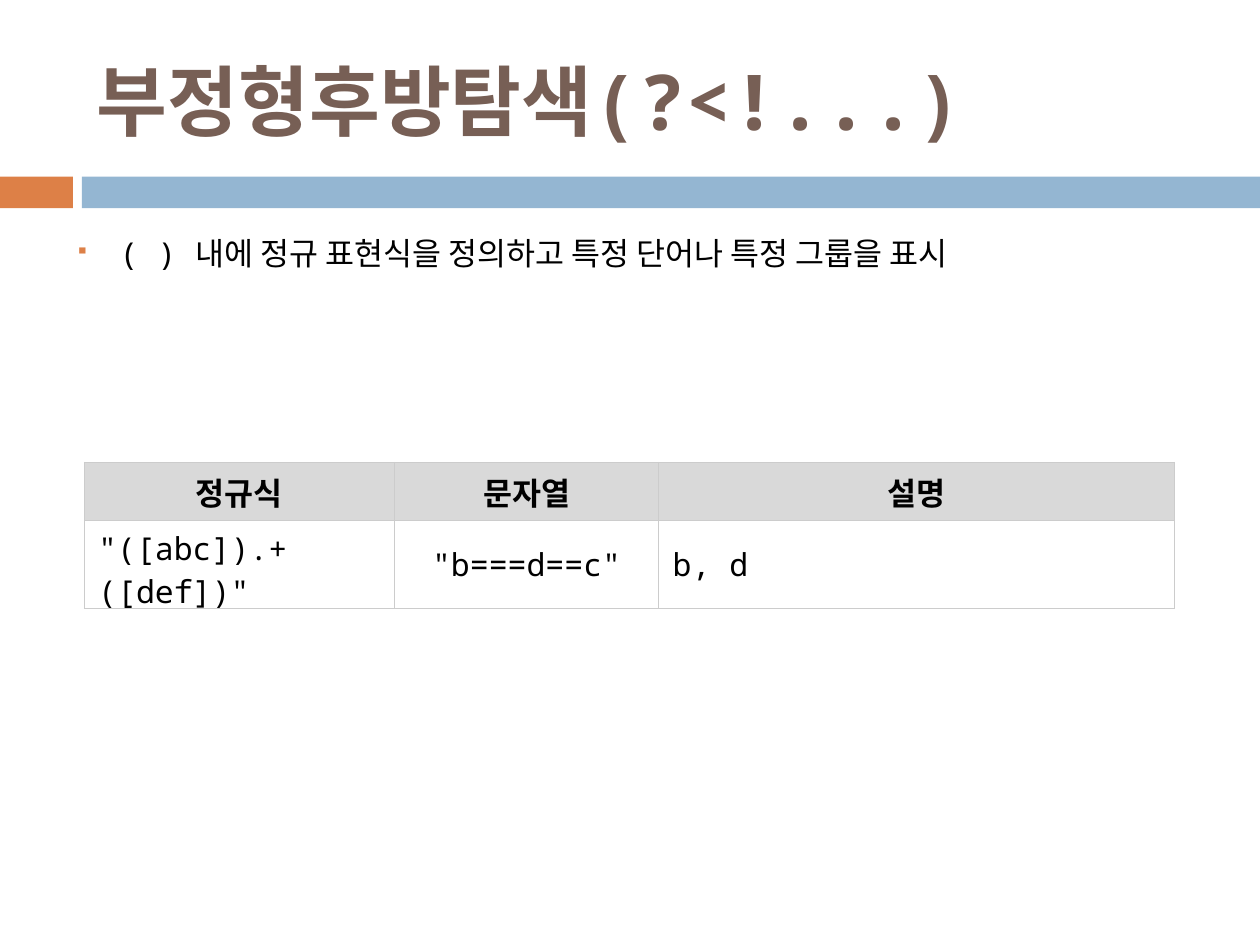
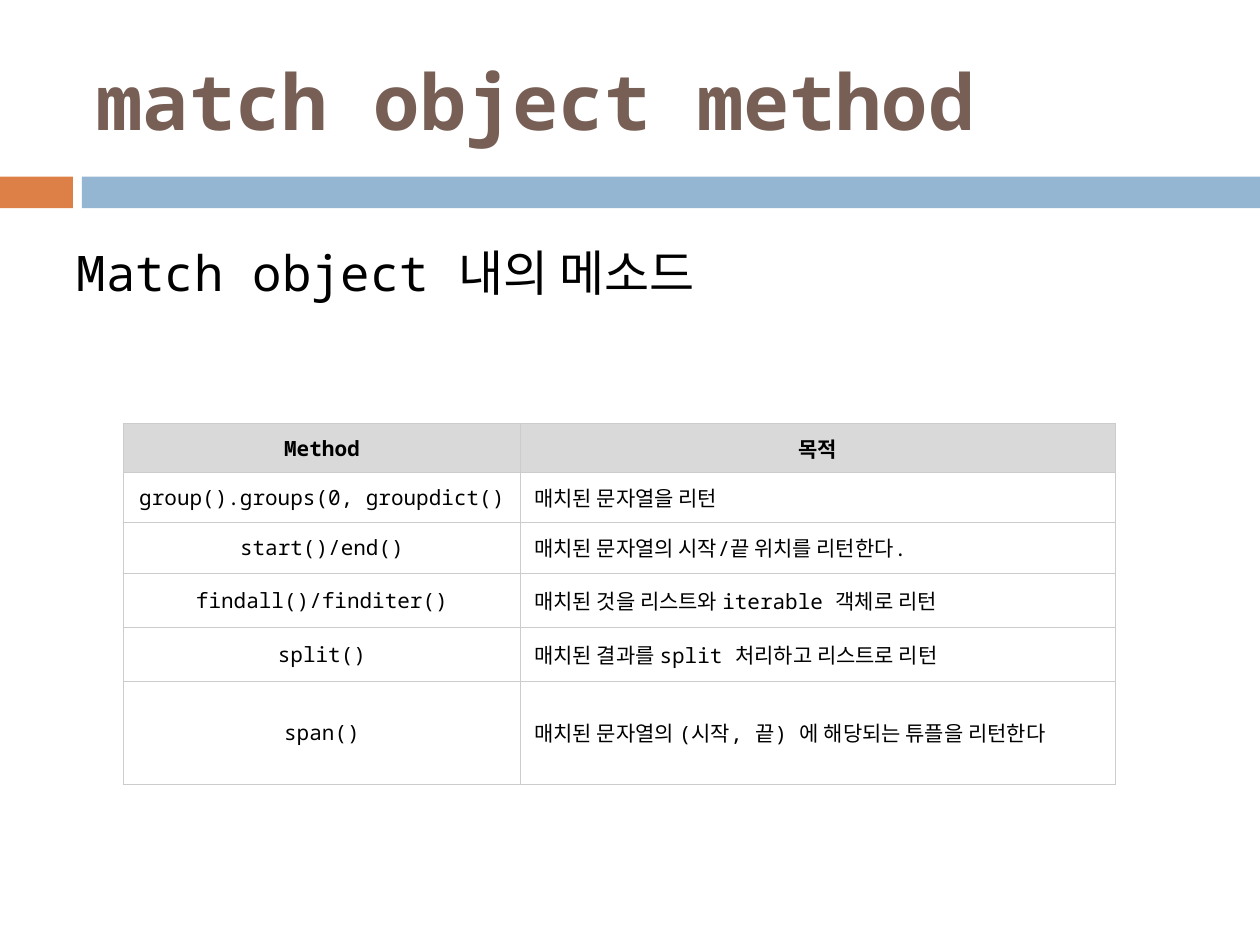
from lxml.etree import SubElement
from pptx import Presentation
from pptx.dml.color import RGBColor
from pptx.enum.shapes import MSO_SHAPE
from pptx.enum.text import MSO_ANCHOR, PP_ALIGN
from pptx.oxml.ns import qn
from pptx.util import Cm, Pt

FONT = "Noto Sans Mono"
BLACK = RGBColor(0x00, 0x00, 0x00)
WHITE = RGBColor(0xFF, 0xFF, 0xFF)
BROWN = RGBColor(0x77, 0x5F, 0x55)
ORANGE = RGBColor(0xDD, 0x80, 0x47)
BLUE = RGBColor(0x94, 0xB6, 0xD2)
HEADER_GRAY = RGBColor(0xD9, 0xD9, 0xD9)
BORDER_GRAY = RGBColor(0xCC, 0xCC, 0xCC)
LEFT, CENTER = PP_ALIGN.LEFT, PP_ALIGN.CENTER


def style_paragraph(paragraph, size, color=BLACK, bold=False):
    """Set the shared font with the given size, colour and weight."""
    font = paragraph.font
    font.name = FONT
    font.size = Pt(size)
    font.bold = bold
    font.color.rgb = color


def add_band(slide, left, width, color):
    """Draw one part of the band below the title."""
    band = slide.shapes.add_shape(
        MSO_SHAPE.RECTANGLE, Cm(left), Cm(3.56), Cm(width), Cm(0.64))
    band.shadow.inherit = False
    band.fill.solid()
    band.fill.fore_color.rgb = color
    band.line.fill.background()


def add_text(slide, text, left, top, width, height):
    """Add a wrapping text box and return its frame and paragraph."""
    frame = slide.shapes.add_textbox(
        Cm(left), Cm(top), Cm(width), Cm(height)).text_frame
    frame.word_wrap = True
    paragraph = frame.paragraphs[0]
    paragraph.text = text
    return frame, paragraph


def add_titled_slide(deck, title):
    """Add a blank slide with the two bands and a title."""
    slide = deck.slides.add_slide(deck.slide_layouts[6])
    add_band(slide, 0, 1.47, ORANGE)
    add_band(slide, 1.65, 23.75, BLUE)
    frame, heading = add_text(slide, title, 1.7, 0.64, 22.66, 2.74)
    frame.vertical_anchor = MSO_ANCHOR.MIDDLE
    style_paragraph(heading, 44, BROWN, bold=True)
    return slide


def add_bullet(paragraph):
    """Give a paragraph a small orange square and a hanging indent."""
    properties = paragraph._p.get_or_add_pPr()
    properties.set("marL", str(Cm(0.89)))
    properties.set("indent", str(-Cm(0.89)))
    bullet_color = SubElement(properties, qn("a:buClr"))
    SubElement(bullet_color, qn("a:srgbClr"), val=str(ORANGE))
    SubElement(properties, qn("a:buSzPct"), val="60000")
    SubElement(properties, qn("a:buChar"), char="▪")


def add_lead(slide, text, left, top, height, size, bulleted=False):
    """Add the sentence that introduces the table."""
    _, lead = add_text(slide, text, left, top, 22.86, height)
    lead.line_spacing = 1.2
    if bulleted:
        add_bullet(lead)
    style_paragraph(lead, size)


def add_borders(cell):
    """Draw a thin gray line on all four sides of a cell."""
    properties = cell._tc.get_or_add_tcPr()
    for side in ("lnL", "lnR", "lnT", "lnB"):
        line = SubElement(properties, qn(f"a:{side}"), w=str(Pt(0.6)))
        fill = SubElement(line, qn("a:solidFill"))
        SubElement(fill, qn("a:srgbClr"), val=str(BORDER_GRAY))


def add_grid(slide, left, top, widths, heights, rows, alignments, size):
    """Add a table with a gray header row and aligned body columns."""
    table = slide.shapes.add_table(
        len(rows), len(widths), Cm(left), Cm(top),
        Cm(sum(widths)), Cm(sum(heights))).table
    table.first_row = False
    table.horz_banding = False
    for column, width in zip(table.columns, widths):
        column.width = Cm(width)
    for row, height in zip(table.rows, heights):
        row.height = Cm(height)
    for r, texts in enumerate(rows):
        is_header = r == 0
        for c, text in enumerate(texts):
            cell = table.cell(r, c)
            cell.vertical_anchor = MSO_ANCHOR.MIDDLE
            cell.margin_left = cell.margin_right = Cm(0.28)
            add_borders(cell)
            cell.fill.solid()
            cell.fill.fore_color.rgb = HEADER_GRAY if is_header else WHITE
            paragraph = cell.text_frame.paragraphs[0]
            paragraph.text = text
            paragraph.alignment = CENTER if is_header else alignments[c]
            style_paragraph(paragraph, size, bold=is_header)


def add_lookbehind_slide(deck):
    """Build the slide on negative lookbehind."""
    slide = add_titled_slide(deck, "부정형후방탐색(?<!...)")
    add_lead(slide, "( ) 내에 정규 표현식을 정의하고 특정 단어나 특정 그룹을 표시",
             1.27, 4.45, 1.68, 18, bulleted=True)
    examples = [
        ("정규식", "문자열", "설명"),
        ('"([abc]).+([def])"', '"b===d==c"', "b, d"),
    ]
    add_grid(slide, 1.7, 9.32, [6.25, 5.33, 10.4], [1.17, 1.17],
             examples, [LEFT, CENTER, LEFT], 18)


def add_match_slide(deck):
    """Build the slide on the methods of match objects."""
    slide = add_titled_slide(deck, "match object method")
    add_lead(slide, "Match object 내의 메소드", 1.3, 4.52, 1.88, 28)
    methods = [
        ("Method", "목적"),
        ("group().groups(0, groupdict()", "매치된 문자열을 리턴"),
        ("start()/end()", "매치된 문자열의 시작/끝 위치를 리턴한다."),
        ("findall()/finditer()", "매치된 것을 리스트와 iterable 객체로 리턴"),
        ("split()", "매치된 결과를 split 처리하고 리스트로 리턴"),
        ("span()", "매치된 문자열의 (시작, 끝) 에 해당되는 튜플을 리턴한다"),
    ]
    add_grid(slide, 2.49, 8.53, [8, 12], [1, 1, 1.02, 1.09, 1.09, 2.08],
             methods, [CENTER, LEFT], 12)


def main():
    """Build and save the deck."""
    deck = Presentation()
    deck.slide_width, deck.slide_height = Cm(25.4), Cm(19.05)
    add_lookbehind_slide(deck)
    add_match_slide(deck)
    deck.save("out.pptx")


if __name__ == "__main__":
    main()
